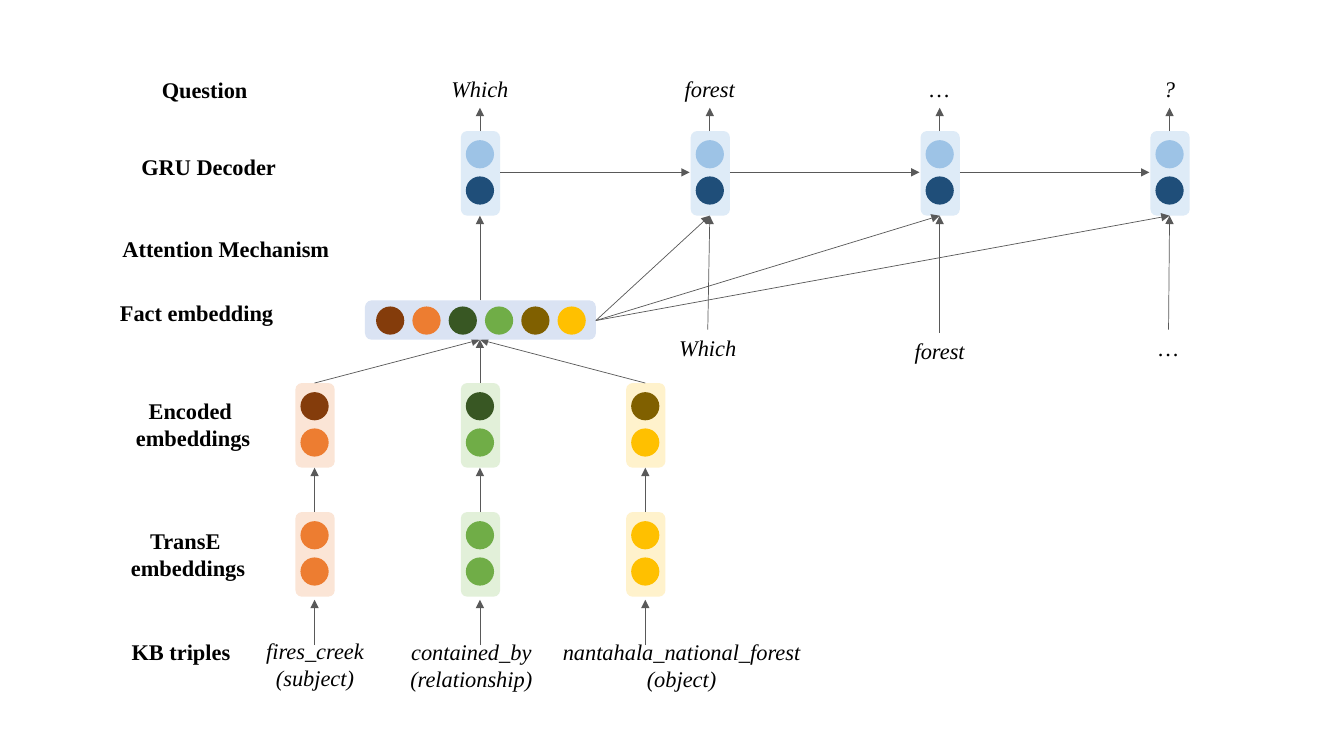
"""Build a slide that shows a question generator from knowledge base triples."""
from lxml import etree
from pptx import Presentation
from pptx.dml.color import RGBColor
from pptx.enum.shapes import MSO_CONNECTOR, MSO_SHAPE
from pptx.enum.text import PP_ALIGN
from pptx.oxml.ns import qn
from pptx.util import Pt

PX = 9144
FONT = "Times New Roman"
STRAIGHT = MSO_CONNECTOR.STRAIGHT
ROUNDED = MSO_SHAPE.ROUNDED_RECTANGLE
OVAL = MSO_SHAPE.OVAL
CENTER = PP_ALIGN.CENTER

COLORS = {
    "text": "000000", "arrow": "595959", "fact": "DAE3F3",
    "orange_pale": "FBE5D6", "orange": "ED7D31", "orange_dark": "843C0B",
    "green_pale": "E2F0D9", "green": "70AD47", "green_dark": "385723",
    "gold_pale": "FFF2CC", "gold": "FFC000", "gold_dark": "806000",
    "blue_pale": "DEEBF7", "blue": "9DC3E6", "blue_dark": "1F4E79",
}

DOT, DOT_STEP = 28, 36
CELL_W, CELL_H = 39, 84
DECODER_TOP, FACT_TOP, ENCODED_TOP, TRANSE_TOP = 130, 298, 380, 508
FACT_LEFT, FACT_W = 362, 229
FACT_CENTER = 476

TRIPLES = [
    ("orange", 312, "fires_creek\n(subject)", 312, 627, 123),
    ("green", 476, "contained_by\n(relationship)", 467, 628, 147),
    ("gold", 640, "nantahala_national_forest\n(object)", 676, 628, 268),
]
DECODER_CENTERS = [476 + 228 * step for step in range(4)]
OUTPUT_WORDS = ["Which", "forest", "…", "?"]
INPUT_WORDS = [("Which", 702, 327), ("forest", 932, 330), ("…", 1159, 327)]
ROW_LABELS = [
    ("Question", 108, 71, 190),
    ("GRU Decoder", 112, 147, 190),
    ("Attention Mechanism", 105, 228, 238),
    ("Fact embedding", 100, 292, 190),
    ("Encoded \nembeddings", 117, 389, 149),
    ("TransE \nembeddings", 112, 518, 149),
    ("KB triples", 105, 628, 149),
]


def rgb(name):
    """Return the named colour."""
    return RGBColor.from_string(COLORS[name])


def add_text(page, text, left, top, width, bold=False, italic=False, wrap=False):
    """Add centred text with one paragraph for each line."""
    lines = text.split("\n")
    height = 10 + 27 * len(lines)
    box = page.shapes.add_textbox(left * PX, top * PX, width * PX, height * PX)
    frame = box.text_frame
    frame.word_wrap = wrap
    for index, line in enumerate(lines):
        para = frame.paragraphs[0] if index == 0 else frame.add_paragraph()
        para.alignment = CENTER
        span = para.add_run()
        span.text = line
        span.font.name = FONT
        span.font.size = Pt(16)
        span.font.bold = bold
        span.font.italic = italic
        span.font.color.rgb = rgb("text")


def add_word(page, text, center, top, width=80):
    """Add italic text around a centre."""
    add_text(page, text, center - width // 2, top, width, italic=True)


def add_solid(page, kind, color, left, top, width, height):
    """Add a filled shape without an outline."""
    shape = page.shapes.add_shape(kind, left * PX, top * PX, width * PX, height * PX)
    shape.shadow.inherit = False
    shape.fill.solid()
    shape.fill.fore_color.rgb = rgb(color)
    shape.line.fill.background()


def add_cell(page, center, top, back, upper, lower):
    """Add an upright vector of two dots."""
    add_solid(page, ROUNDED, back, center - CELL_W // 2, top, CELL_W, CELL_H)
    for index, color in enumerate((upper, lower)):
        add_solid(page, OVAL, color, center - DOT // 2,
                  top + 9 + index * DOT_STEP, DOT, DOT)


def add_arrow(page, start, end):
    """Add a thin arrow between two points."""
    line = page.shapes.add_connector(
        STRAIGHT, *(value * PX for value in (*start, *end)))
    line.line.width = Pt(0.5)
    line.line.color.rgb = rgb("arrow")
    properties = line._element.spPr
    etree.SubElement(properties.find(qn("a:ln")), qn("a:tailEnd"), type="triangle")
    etree.SubElement(properties, qn("a:effectLst"))


def add_encoder(page):
    """Add the triples and their two rows of embeddings."""
    for hue, center, text, text_center, text_top, width in TRIPLES:
        add_arrow(page, (center, 640), (center, 595))
        add_word(page, text, text_center, text_top, width)
        add_cell(page, center, TRANSE_TOP, hue + "_pale", hue, hue)
        add_cell(page, center, ENCODED_TOP, hue + "_pale", hue + "_dark", hue)
        add_arrow(page, (center, TRANSE_TOP), (center, ENCODED_TOP + CELL_H))
        add_arrow(page, (center, ENCODED_TOP), (FACT_CENTER, FACT_TOP + CELL_W))


def add_fact(page):
    """Add the fact embedding that joins the encoded triples."""
    add_solid(page, ROUNDED, "fact", FACT_LEFT, FACT_TOP, FACT_W, CELL_W)
    dots = [hue + shade for hue, *_ in TRIPLES for shade in ("_dark", "")]
    for index, color in enumerate(dots):
        add_solid(page, OVAL, color, FACT_LEFT + 11 + index * DOT_STEP,
                  FACT_TOP + 6, DOT, DOT)


def add_decoder(page):
    """Add the decoder states with their inputs and outputs."""
    bottom = DECODER_TOP + CELL_H
    for center, word in zip(DECODER_CENTERS, OUTPUT_WORDS):
        add_cell(page, center, DECODER_TOP, "blue_pale", "blue", "blue_dark")
        add_arrow(page, (center, DECODER_TOP), (center, 107))
        add_word(page, word, center, 70)
    add_arrow(page, (FACT_CENTER, FACT_TOP), (FACT_CENTER, bottom))
    for before, center in zip(DECODER_CENTERS, DECODER_CENTERS[1:]):
        add_arrow(page, (before + 20, 171), (center - 20, 171))
        add_arrow(page, (FACT_LEFT + FACT_W, 318), (center, bottom))
    for (word, center, top), target in zip(INPUT_WORDS, DECODER_CENTERS[1:]):
        add_arrow(page, (center, top), (target, bottom))
        add_word(page, word, center, top)


def main():
    """Build and save the deck."""
    deck = Presentation()
    deck.slide_width = 1333 * PX
    deck.slide_height = 750 * PX
    page = deck.slides.add_slide(deck.slide_layouts[6])
    add_encoder(page)
    add_fact(page)
    add_decoder(page)
    for text, left, top, width in ROW_LABELS:
        add_text(page, text, left, top, width, bold=True, wrap=True)
    deck.save("out.pptx")


if __name__ == "__main__":
    main()
